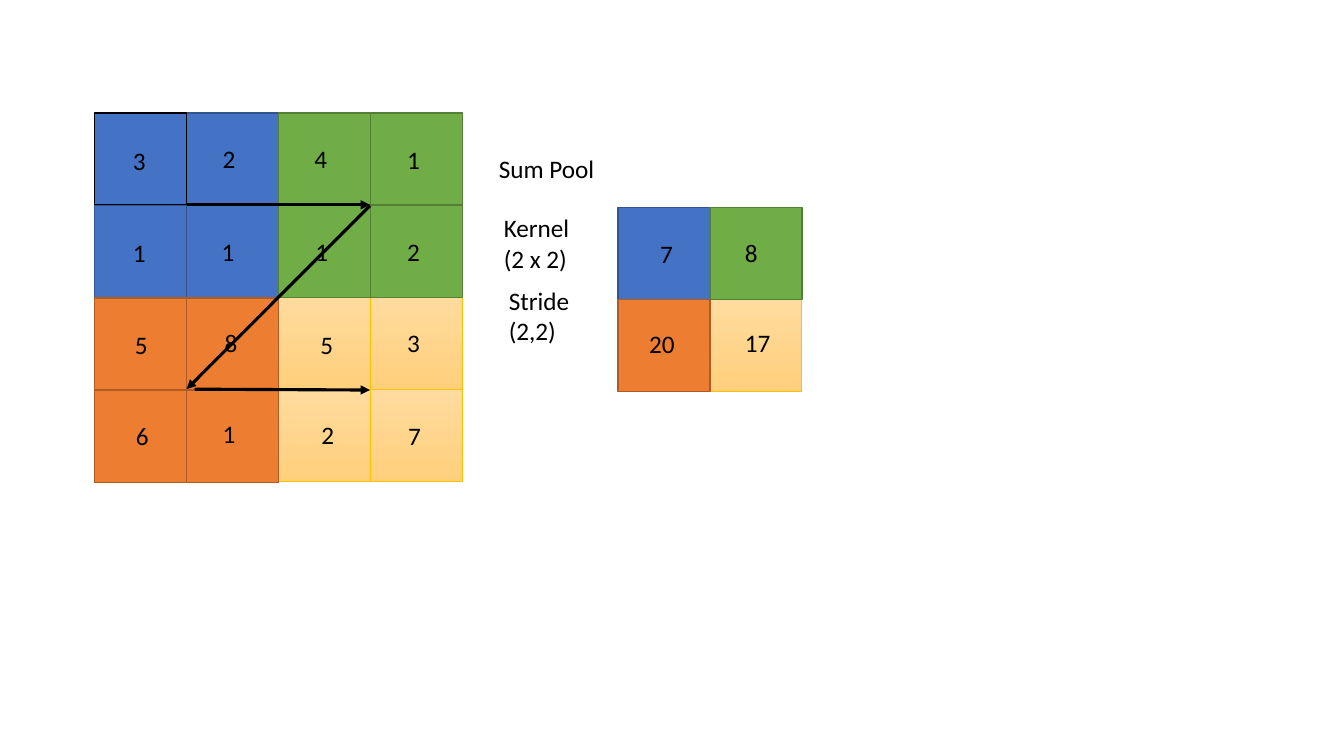
from typing import NamedTuple

from lxml.etree import SubElement
from pptx import Presentation
from pptx.dml.color import RGBColor
from pptx.enum.shapes import MSO_CONNECTOR, MSO_SHAPE
from pptx.enum.text import MSO_AUTO_SIZE
from pptx.oxml.ns import qn
from pptx.util import Pt

BLACK = RGBColor(0x00, 0x00, 0x00)
BLUE = RGBColor(0x44, 0x72, 0xC4)
NAVY = RGBColor(0x32, 0x54, 0x91)
GREEN = RGBColor(0x70, 0xAD, 0x47)
MOSS = RGBColor(0x53, 0x80, 0x35)
ORANGE = RGBColor(0xED, 0x7D, 0x31)
RUST = RGBColor(0xAF, 0x5C, 0x24)
CREAM = RGBColor(0xFF, 0xDB, 0x9E)
SAND = RGBColor(0xFF, 0xD0, 0x7C)
GOLD = RGBColor(0xFF, 0xC0, 0x00)

CELL = 65.7
ROW = 66.1
LEFT, TOP = 67.6, 80.8
POOL_LEFT, POOL_TOP = 441.4, 148.3


class Block(NamedTuple):
    row: int
    col: int
    fill: RGBColor
    edge: RGBColor
    fade: RGBColor | None = None
    width: float = 1
    shift: float = 0


class Label(NamedTuple):
    text: str
    left: float
    top: float
    width: float = 20.2
    height: float = 29.1
    wrap: bool = False


class Arrow(NamedTuple):
    x1: float
    y1: float
    x2: float
    y2: float


BLOCKS = [
    Block(0, 0, BLUE, NAVY),
    Block(1, 1, CREAM, GOLD, fade=SAND, width=0.5, shift=-0.7),
    Block(1, 0, ORANGE, RUST),
    Block(0, 1, GREEN, MOSS),
]

LABELS = [
    Label("3", 87.8, 100.1), Label("2", 151.9, 98.6),
    Label("4", 217.4, 98.6), Label("1", 283.7, 99.4),
    Label("1", 87.8, 166.3), Label("1", 151.2, 164.9),
    Label("1", 218.2, 164.9), Label("2", 283.7, 164.9),
    Label("5", 89.3, 231.8), Label("8", 153.4, 230.4),
    Label("5", 221.8, 231.8), Label("3", 283.7, 230.4),
    Label("6", 90, 296.6), Label("1", 151.9, 295.2),
    Label("2", 222.5, 295.9), Label("7", 284.4, 296.6),
    Label("Sum Pool", 349.2, 105.8, 82.8),
    Label("Kernel\n(2 x 2)", 352.8, 148.3, 69.8, 72.7, True),
    Label("Stride (2,2)", 356.4, 200.2, 72, 51.1, True),
    Label("7", 464.4, 167), Label("8", 524.9, 166.3),
    Label("20", 456.5, 231.1, 46.8, wrap=True),
    Label("17", 524.9, 230.4, 46.8, wrap=True),
]

ARROWS = [
    Arrow(133.3, 146.3, 264.3, 146.3),
    Arrow(264.3, 146.9, 133.3, 278),
    Arrow(139, 278, 264.3, 278.6),
]

deck = Presentation()
deck.slide_width, deck.slide_height = Pt(960), Pt(540)
slide = deck.slides.add_slide(deck.slide_layouts[6])
shapes = slide.shapes


def add_cell(block: Block, left: float, top: float, edge: RGBColor) -> None:
    cell = shapes.add_shape(
        MSO_SHAPE.RECTANGLE, Pt(left), Pt(top), Pt(CELL), Pt(CELL))
    cell.shadow.inherit = False
    if block.fade is None:
        cell.fill.solid()
        cell.fill.fore_color.rgb = block.fill
    else:
        cell.fill.gradient()
        cell.fill.gradient_angle = 270
        for stop, tone in zip(cell.fill.gradient_stops, (block.fill, block.fade)):
            stop.color.rgb = tone
        first, last = cell.fill.gradient_stops
        first.position, last.position = 0, 1
    cell.line.color.rgb = edge
    cell.line.width = Pt(block.width)


def add_text(text: str, *, left: float, top: float, width: float, height: float,
             wrap: bool = False, size: float = 18, font: str = "Calibri",
             color: RGBColor = BLACK) -> None:
    box = shapes.add_textbox(Pt(left), Pt(top), Pt(width), Pt(height))
    frame = box.text_frame
    frame.text = text
    frame.word_wrap = wrap
    frame.auto_size = MSO_AUTO_SIZE.SHAPE_TO_FIT_TEXT
    for para in frame.paragraphs:
        for run in para.runs:
            run.font.size = Pt(size)
            run.font.name = font
            run.font.color.rgb = color


def add_arrow(arrow: Arrow) -> None:
    link = shapes.add_connector(
        MSO_CONNECTOR.STRAIGHT, *(Pt(value) for value in arrow))
    link.line.color.rgb = BLACK
    link.line.width = Pt(2.25)
    SubElement(link.line._get_or_add_ln(), qn("a:tailEnd"), type="triangle")
    SubElement(link._element.spPr, qn("a:effectLst"))


for block in BLOCKS:
    for col in (2 * block.col + 1, 2 * block.col):
        for row in (2 * block.row, 2 * block.row + 1):
            edge = BLACK if (row, col) == (0, 0) else block.edge
            add_cell(block, LEFT + col * CELL,
                     TOP + row * ROW + block.shift, edge)

for block in BLOCKS:
    add_cell(block, POOL_LEFT + block.col * CELL,
             POOL_TOP + block.row * CELL, block.edge)

for label in LABELS:
    add_text(label.text, left=label.left, top=label.top, width=label.width,
             height=label.height, wrap=label.wrap)

for arrow in ARROWS:
    add_arrow(arrow)

deck.save("out.pptx")
